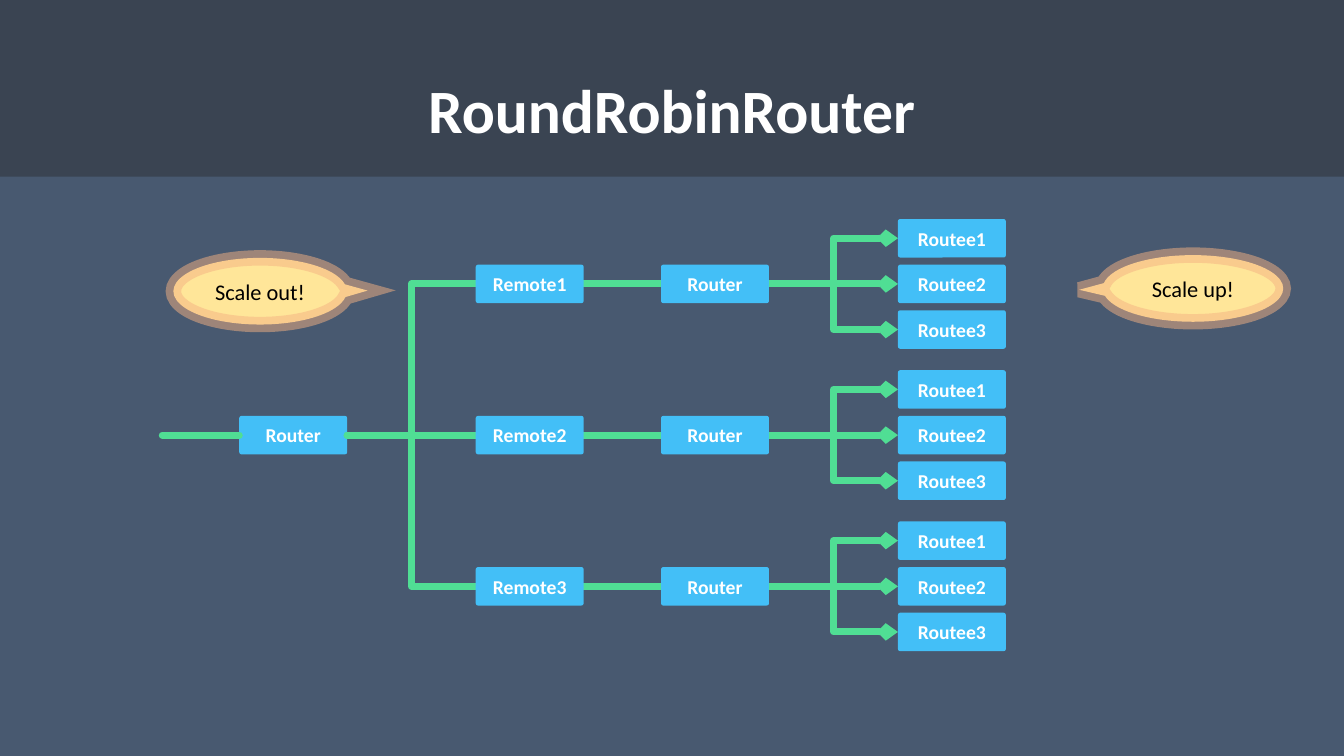
from pptx import Presentation
from pptx.dml.color import RGBColor
from pptx.enum.shapes import MSO_CONNECTOR, MSO_SHAPE
from pptx.enum.text import MSO_ANCHOR, PP_ALIGN
from pptx.oxml.ns import qn
from pptx.util import Cm, Pt
from lxml.etree import SubElement

# Colours
BACK, BAND = "485970", "262626"
BLUE, GREEN = "43BFF7", "50DE94"
CREAM, PEACH = "FFE699", "F4B183"
WHITE, BLACK = "FFFFFF", "000000"

# Lengths in cm
NODE_W, NODE_H = 2.72, 0.97
ROW_GAP, LEAF_GAP = 3.81, 1.15


def paint(fill, color, alpha=None):
    fill.solid()
    fill.fore_color.rgb = RGBColor.from_string(color)
    if alpha is not None:
        tone = fill._xPr.find(qn("a:solidFill"))[0]
        SubElement(tone, qn("a:alpha"), val=str(alpha * 1000))


def write(shape, text, size, color, bold=False):
    frame = shape.text_frame
    frame.word_wrap = True
    frame.vertical_anchor = MSO_ANCHOR.MIDDLE
    frame.text = text
    para = frame.paragraphs[0]
    para.alignment = PP_ALIGN.CENTER
    font = para.runs[0].font
    font.name, font.size, font.bold = "Calibri", Pt(size), bold
    font.color.rgb = RGBColor.from_string(color)
    return para


def form(slide, kind, box, color, adjs, alpha=None):
    shape = slide.shapes.add_shape(kind, *map(Cm, box))
    shape.shadow.inherit = False
    for i, adj in enumerate(adjs):
        shape.adjustments[i] = adj
    paint(shape.fill, color, alpha)
    shape.line.fill.background()
    return shape


def node(slide, left, mid, text):
    box = (left, mid - NODE_H / 2, NODE_W, NODE_H)
    shape = form(slide, MSO_SHAPE.ROUNDED_RECTANGLE, box, BLUE, [0.06])
    write(shape, text, 14, WHITE, True)


def link(slide, x1, y1, x2, y2, arrow=False):
    kind = MSO_CONNECTOR.STRAIGHT if y1 == y2 else MSO_CONNECTOR.ELBOW
    line = slide.shapes.add_connector(kind, *map(Cm, (x1, y1, x2, y2)))
    line.line.width = Pt(5)
    paint(line.line.fill, GREEN)
    props = line.element.spPr
    edge = props.find(qn("a:ln"))
    edge.set("cap", "rnd")
    SubElement(edge, qn("a:round"))
    if arrow:
        SubElement(edge, qn("a:tailEnd"), type="arrow", w="sm", len="sm")
    SubElement(props, qn("a:effectLst"))


def header(slide, box):
    # Dark band with the title
    left, top, width, height = box
    form(slide, MSO_SHAPE.ROUNDED_RECTANGLE, box, BAND, [0], 40)
    place = (left + 2.33, top + 1.01, width - 4.66, height - 0.75)
    title = slide.shapes.add_textbox(*map(Cm, place))
    write(title, "RoundRobinRouter", 44, WHITE, True).line_spacing = 0.9


def branch(slide, box, number):
    # Remote, its router and three routees
    left, top, width, height = box
    mid = top + height / 2
    hub = left + 4.67
    leaf = left + width - NODE_W
    for i in range(3):
        spot = mid + (i - 1) * LEAF_GAP
        node(slide, leaf, spot, f"Routee{i + 1}")
        link(slide, hub + NODE_W, mid, leaf, spot, True)
    link(slide, left + NODE_W, mid, hub, mid)
    node(slide, left, mid, f"Remote{number}")
    node(slide, hub, mid, "Router")


def tree(slide, box):
    # Root router feeding one branch per row
    left, top, width, height = box
    mid = top + height / 2
    root, fork = left + 1.94, left + 7.9
    node(slide, root, mid, "Router")
    link(slide, left, mid, root, mid)
    for i in range(3):
        spot = mid + (i - 1) * ROW_GAP
        link(slide, root + NODE_W, mid, fork, spot)
        row = (fork, spot - ROW_GAP / 2, left + width - fork, ROW_GAP)
        branch(slide, row, i + 1)


def bubble(slide, box, text, tip):
    # Callout with a translucent rim
    shape = form(slide, MSO_SHAPE.OVAL_CALLOUT, box, CREAM, tip)
    shape.line.width = Pt(11)
    paint(shape.line.fill, PEACH, 50)
    edge = shape.element.spPr.find(qn("a:ln"))
    SubElement(edge, qn("a:miter"), lim="800000")
    write(shape, text, 16, BLACK)


def main():
    deck = Presentation()
    deck.slide_width, deck.slide_height = Cm(33.87), Cm(19.05)
    slide = deck.slides.add_slide(deck.slide_layouts[6])
    paint(slide.background.fill, BACK)
    header(slide, (0, 0, 33.87, 4.45))
    tree(slide, (4.09, 5.25, 21.26, 11.43))
    bubble(slide, (27.79, 6.43, 4.55, 1.68), "Scale up!", (-0.63, 0.02))
    bubble(slide, (4.37, 6.5, 4.37, 1.68), "Scale out!", (0.62, -0.01))
    deck.save("out.pptx")


if __name__ == "__main__":
    main()
